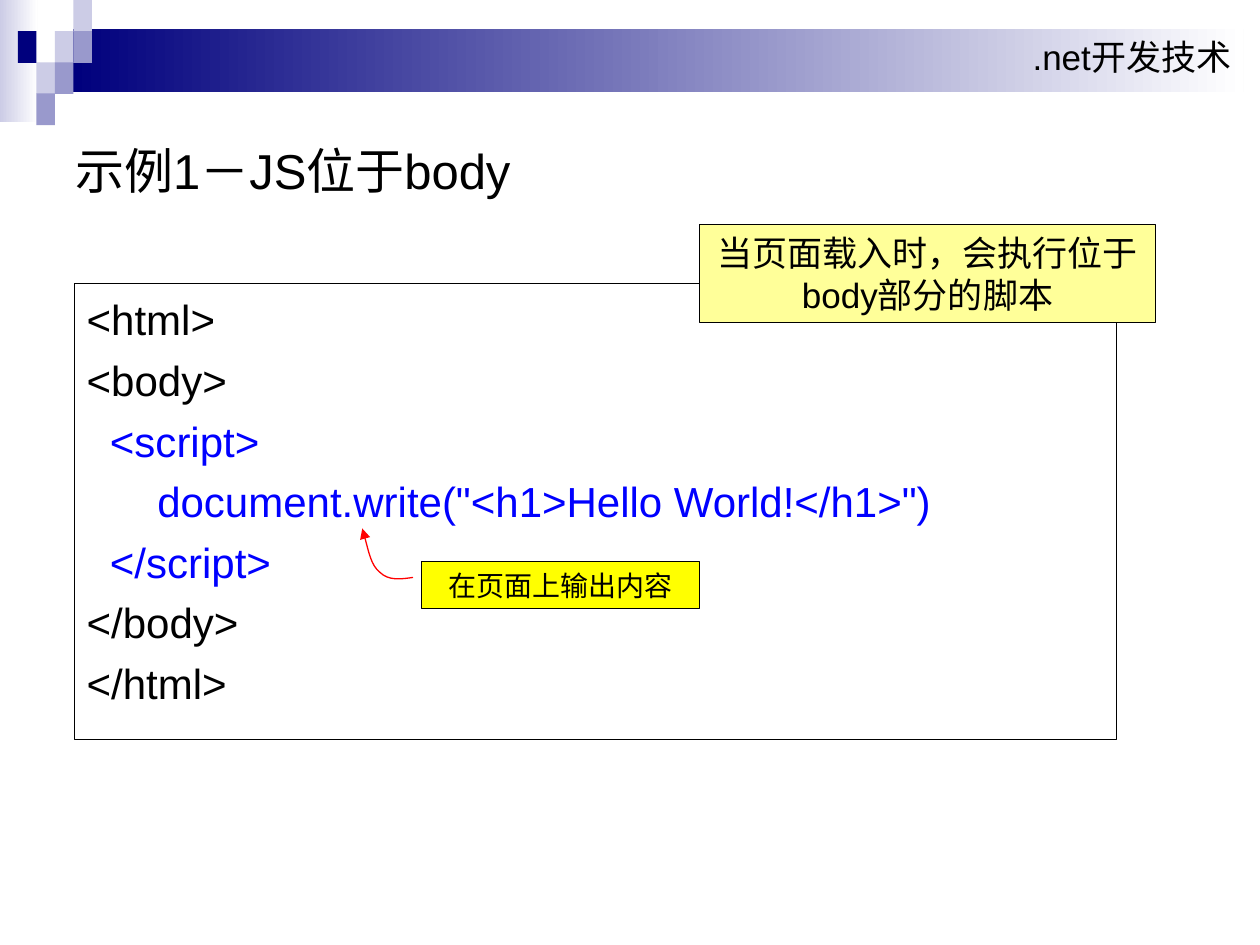
from pptx import Presentation
from pptx.dml.color import RGBColor
from pptx.enum.shapes import MSO_SHAPE
from pptx.enum.text import MSO_ANCHOR, MSO_AUTO_SIZE, PP_ALIGN
from pptx.oxml.ns import qn
from pptx.util import Pt
from lxml.etree import SubElement

NAVY = RGBColor(0x00, 0x00, 0x7D)
MID = RGBColor(0x99, 0x99, 0xCC)
PALE = RGBColor(0xCC, 0xCC, 0xE6)
WHITE = RGBColor(0xFF, 0xFF, 0xFF)
BLACK = RGBColor(0x00, 0x00, 0x00)
BLUE = RGBColor(0x00, 0x00, 0xFF)
RED = RGBColor(0xFF, 0x00, 0x00)
CREAM = RGBColor(0xFF, 0xFF, 0x99)
YELLOW = RGBColor(0xFF, 0xFF, 0x00)

TILES = [(2, 1, PALE), (3, 0, PALE), (3, 1, MID), (1, 2, PALE),
         (0, 1, NAVY), (2, 2, MID), (1, 3, MID)]
CODE = [
    ("<html>", BLACK),
    ("<body>", BLACK),
    ("  <script>", BLUE),
    ("\t  document.write(\"<h1>Hello World!</h1>\")", BLUE),
    ("  </script>", BLUE),
    ("</body>", BLACK),
    ("</html>", BLACK),
]
CURVE = [(206.6, 301.7), (209.5, 311.8), (212.4, 322.6), (216.7, 326.9),
         (221.8, 331.9), (229, 331.2), (236.2, 330.5)]


def apply(target, values):
    """Set each value of a dict as an attribute of the target."""
    for name, value in values.items():
        setattr(target, name, value)


def add_box(slide, area, fills=(), line=None):
    """Add a rectangle with no fill, a plain fill or a gradient."""
    box = slide.shapes.add_shape(MSO_SHAPE.RECTANGLE, *map(Pt, area))
    box.shadow.inherit = False
    if len(fills) > 1:
        box.fill.gradient()
        box.fill.gradient_angle = 0
        for stop, color in zip(box.fill.gradient_stops, fills):
            stop.color.rgb = color
    elif fills:
        box.fill.solid()
        box.fill.fore_color.rgb = fills[0]
    else:
        box.fill.background()
    if line is None:
        box.line.fill.background()
    else:
        box.line.color.rgb = line
        box.line.width = Pt(0.75)
    return box


def write(box, lines, size, align=PP_ALIGN.LEFT, hang=0, gap=0, **frame):
    """Write coloured lines into a shape as paragraphs."""
    text = box.text_frame
    apply(text, {"word_wrap": True, **frame})
    for index, (words, color) in enumerate(lines):
        para = text.add_paragraph() if index else text.paragraphs[0]
        apply(para, {"alignment": align, "space_before": Pt(gap if index else 0)})
        if hang:
            props = para._p.get_or_add_pPr()
            props.set("marL", str(Pt(hang)))
            props.set("indent", str(-Pt(hang)))
        run = para.add_run()
        run.text = words
        apply(run.font, {"name": "Arial", "size": Pt(size)})
        run.font.color.rgb = color


def add_note(slide, area, words, size, fill):
    """Add a framed note with centred text."""
    box = add_box(slide, area, [fill], BLACK)
    write(box, [(words, BLACK)], size, PP_ALIGN.CENTER,
          vertical_anchor=MSO_ANCHOR.MIDDLE,
          auto_size=MSO_AUTO_SIZE.SHAPE_TO_FIT_TEXT)


def add_curve(slide, points, color):
    """Draw a Bezier curve with an arrowhead at its start."""
    pen = slide.shapes.build_freeform(*points[0], scale=float(Pt(1)))
    pen.add_line_segments(points[1:], close=False)
    curve = pen.convert_to_shape()
    curve.shadow.inherit = False
    curve.fill.background()
    curve.line.color.rgb = color
    curve.line.width = Pt(0.75)
    route = next(curve._element.iter(qn("a:path")))
    steps = route.findall(qn("a:lnTo"))
    for start in range(0, len(steps), 3):
        bend = SubElement(route, qn("a:cubicBezTo"))
        for step in steps[start:start + 3]:
            bend.append(step[0])
            route.remove(step)
    SubElement(curve.line._get_or_add_ln(), qn("a:headEnd"), type="triangle")


def add_banner(slide):
    """Add the shaded bands and the mosaic of tiles."""
    add_box(slide, (0, 0, 21.6, 69.8), [PALE, WHITE])
    band = add_box(slide, (41.8, 16.6, 668.9, 36), [NAVY, WHITE])
    write(band, [(".net开发技术", BLACK)], 20, PP_ALIGN.RIGHT,
          vertical_anchor=MSO_ANCHOR.TOP)
    for col, row, color in TILES:
        add_box(slide, (10.2 + 10.6 * col, 17.8 * row, 10.6, 18.1), [color])


def main():
    """Build the slide and save it."""
    deck = Presentation()
    apply(deck, {"slide_width": Pt(720), "slide_height": Pt(540)})
    slide = deck.slides.add_slide(deck.slide_layouts[6])
    add_banner(slide)
    title = slide.shapes.add_textbox(Pt(36), Pt(71.3), Pt(648), Pt(51.1))
    write(title, [("示例1－JS位于body", BLACK)], 28,
          vertical_anchor=MSO_ANCHOR.MIDDLE)
    panel = add_box(slide, (42.5, 162, 595.4, 260.8), line=BLACK)
    write(panel, CODE, 24, hang=27, gap=5.8, margin_top=Pt(6),
          vertical_anchor=MSO_ANCHOR.TOP)
    add_note(slide, (399.6, 128.2, 260.9, 56.2),
             "当页面载入时，会执行位于body部分的脚本", 20, CREAM)
    add_note(slide, (241, 321, 158.6, 26.6), "在页面上输出内容", 16, YELLOW)
    add_curve(slide, CURVE, RED)
    deck.save("out.pptx")


if __name__ == "__main__":
    main()
